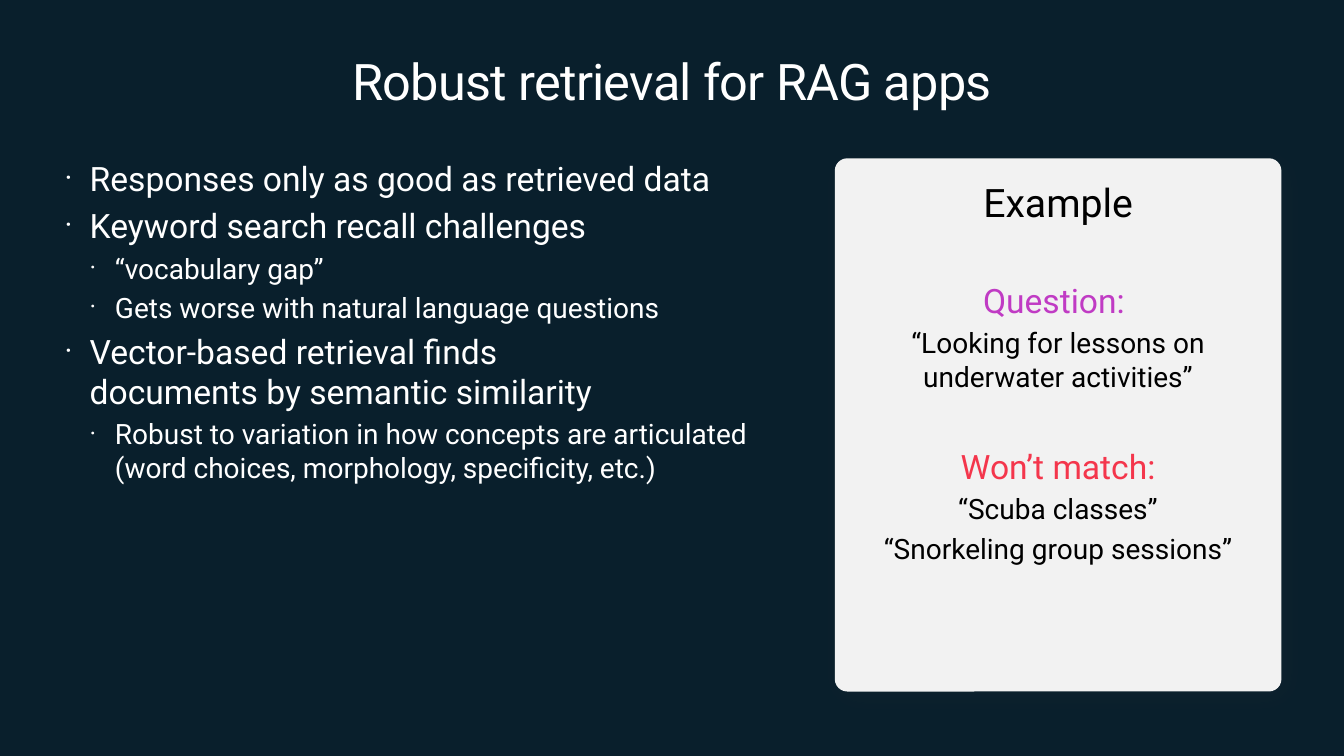
import pptx
import pptx.util
import pptx.dml.color
import pptx.enum.shapes
import pptx.enum.text
import pptx.oxml
import pptx.oxml.ns

Inches = pptx.util.Inches
Pt = pptx.util.Pt
RGBColor = pptx.dml.color.RGBColor
CENTER = pptx.enum.text.PP_ALIGN.CENTER
LEFT = pptx.enum.text.PP_ALIGN.LEFT
MIDDLE = pptx.enum.text.MSO_ANCHOR.MIDDLE
TOP = pptx.enum.text.MSO_ANCHOR.TOP

NAVY = RGBColor(0x09, 0x1F, 0x2C)
WHITE = RGBColor(0xFF, 0xFF, 0xFF)
BLACK = RGBColor(0x00, 0x00, 0x00)
PALE = RGBColor(0xF2, 0xF2, 0xF2)
PURPLE = RGBColor(0xC0, 0x3B, 0xC4)
RED = RGBColor(0xF4, 0x36, 0x4C)

WIDTH, HEIGHT = 13.33, 7.5
MARGIN = 0.64
CONTENT_TOP, CONTENT_HEIGHT = 1.57, 5.29
INDENT = 0.25
HEAD_SIZE, DETAIL_SIZE = 24, 20
SPACE_SHARE = 0.2
GROUP_GAP = 38
NS = 'xmlns:a="http://schemas.openxmlformats.org/drawingml/2006/main"'

POINTS = [
    (0, "Responses only as good as retrieved data"),
    (0, "Keyword search recall challenges"),
    (1, "“vocabulary gap”"),
    (1, "Gets worse with natural language questions"),
    (0, "Vector-based retrieval finds\vdocuments by semantic similarity"),
    (1, "Robust to variation in how concepts are articulated\v"
        "(word choices, morphology, specificity, etc.)"),
]
EXAMPLE_GROUPS = [
    ("Question: ", PURPLE, ["“Looking for lessons on underwater activities”"]),
    ("Won’t match:", RED, ["“Scuba classes”", "“Snorkeling group sessions”"]),
]


def set_up_frame(frame, anchor=TOP, side=0, edge=0):
    frame.word_wrap = True
    frame.vertical_anchor = anchor
    frame.margin_left = frame.margin_right = Inches(side)
    frame.margin_top = frame.margin_bottom = Inches(edge)


def add_text_area(slide, box, **frame_options):
    area = slide.shapes.add_textbox(*map(Inches, box)).text_frame
    set_up_frame(area, **frame_options)
    return area


def write_line(frame, text, size, color, align=LEFT, space=None):
    first = not frame.text
    line = frame.paragraphs[0] if first else frame.add_paragraph()
    line.text = text
    line.alignment = align
    if not first:
        line.space_before = Pt(size * SPACE_SHARE if space is None else space)
    for run in line.runs:
        run.font.name = "Roboto"
        run.font.size = Pt(size)
        run.font.color.rgb = color
    return line


def add_bullet(line, level):
    properties = line._p.get_or_add_pPr()
    properties.set("marL", str(Inches(INDENT * (level + 1))))
    properties.set("indent", str(-Inches(INDENT)))
    for bullet in ('buSzPct {} val="90000"', 'buFont {} typeface="Roboto"',
                   'buChar {} char="·"'):
        properties.append(pptx.oxml.parse_xml(f"<a:{bullet.format(NS)}/>"))


def add_title(slide, box):
    title = add_text_area(slide, box)
    line = write_line(title, "Robust retrieval for RAG apps", 36, WHITE, CENTER)
    line.runs[0].font._element.set("spc", "-50")


def add_points(slide, box):
    points = add_text_area(slide, box)
    for level, text in POINTS:
        line = write_line(points, text, DETAIL_SIZE if level else HEAD_SIZE, WHITE)
        line.level = level
        add_bullet(line, level)


def add_example(slide, box):
    left, top, width, height = box
    card = slide.shapes.add_shape(
        pptx.enum.shapes.MSO_SHAPE.ROUNDED_RECTANGLE, *map(Inches, box))
    card.adjustments[0] = 0.028
    card.fill.solid()
    card.fill.fore_color.rgb = PALE
    card.line.fill.background()
    card._element.spPr.append(pptx.oxml.parse_xml(
        f'<a:effectLst {NS}><a:outerShdw blurRad="{Pt(20)}" dist="{Pt(5)}" '
        'dir="2700000" algn="tl" rotWithShape="0"><a:srgbClr val="454142">'
        '<a:alpha val="10000"/></a:srgbClr></a:outerShdw></a:effectLst>'))
    set_up_frame(card.text_frame, side=0.2, edge=0.16)
    write_line(card.text_frame, "Example", 28, BLACK, CENTER)

    details = add_text_area(
        slide, (left, top + height * 0.22, width, height * 0.55),
        anchor=MIDDLE, side=0.4)
    for heading, color, quotes in EXAMPLE_GROUPS:
        write_line(details, heading, HEAD_SIZE, color, CENTER, GROUP_GAP)
        for quote in quotes:
            write_line(details, quote, DETAIL_SIZE, BLACK, CENTER)


def main():
    deck = pptx.Presentation()
    deck.slide_width, deck.slide_height = Inches(WIDTH), Inches(HEIGHT)
    slide = deck.slides.add_slide(deck.slide_layouts[6])
    slide.background.fill.solid()
    slide.background.fill.fore_color.rgb = NAVY

    content_width = WIDTH - 2 * MARGIN
    card_width = 4.43
    card_left = WIDTH - MARGIN - card_width + 0.02
    add_title(slide, (MARGIN, 0.5, content_width, 0.61))
    add_points(slide, (MARGIN, CONTENT_TOP, 7.2, CONTENT_HEIGHT))
    add_example(slide, (card_left, CONTENT_TOP, card_width, CONTENT_HEIGHT))
    deck.save("out.pptx")


if __name__ == "__main__":
    main()
